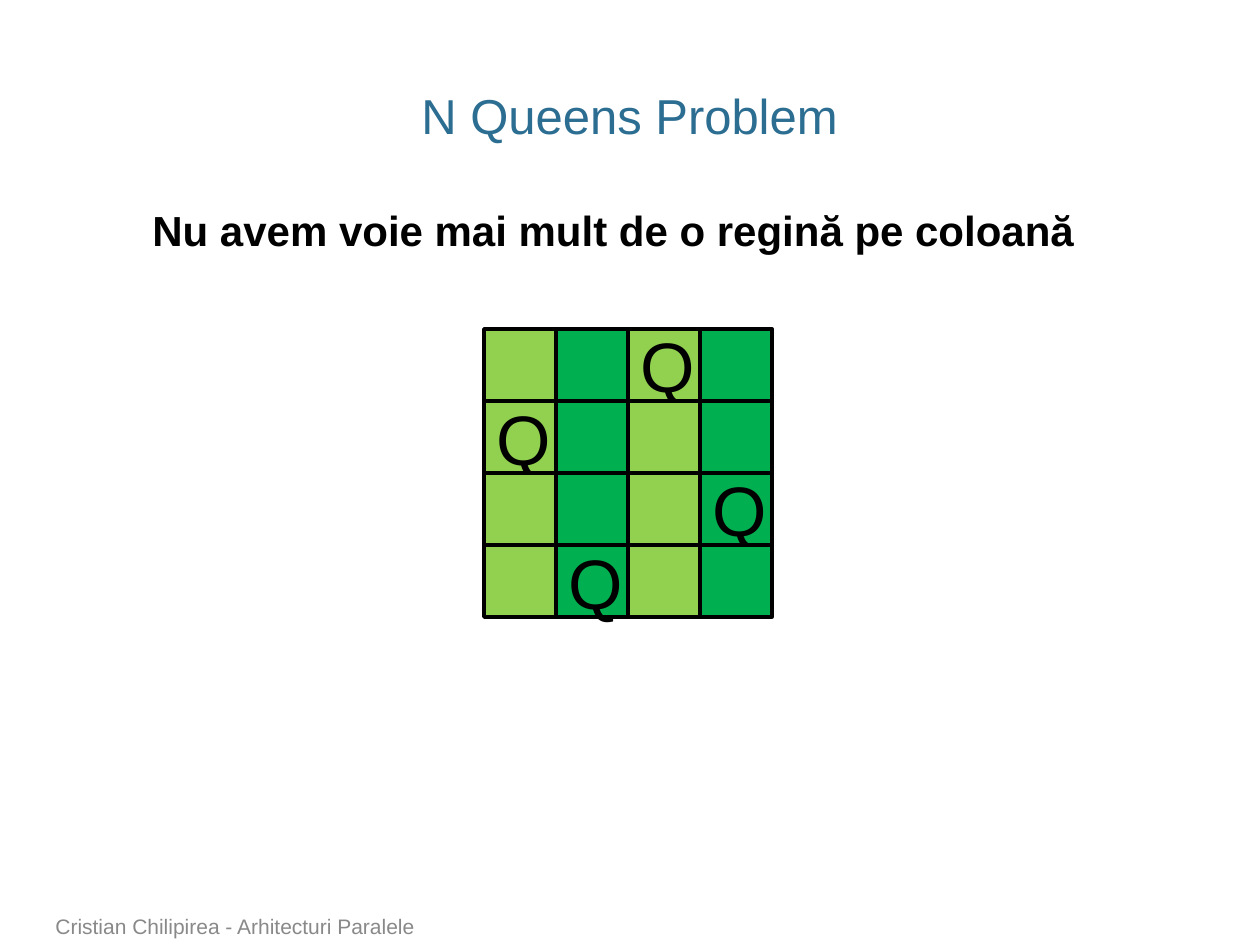
"""Build the N Queens slide: a 4 by 4 board with one queen per column."""
from pptx import Presentation
from pptx.dml.color import RGBColor
from pptx.enum.shapes import MSO_SHAPE as SHAPE
from pptx.enum.text import MSO_ANCHOR as ANCHOR, MSO_AUTO_SIZE as FIT, PP_ALIGN as ALIGN
from pptx.util import Emu, Pt

SCALE = 914400 / 126
COLORS = {"title": "2C6D92", "text": "000000", "footer": "898989",
          "light": "92D050", "dark": "00B050", "line": "000000"}
QUEEN_ROWS = [1, 3, 0, 2]
BOARD_LEFT, BOARD_TOP, CELL = 484, 329, 72


def px(n):
    return Emu(round(n * SCALE))


def rgb(name):
    return RGBColor.from_string(COLORS[name])


def assign(obj, values):
    for name, value in values.items():
        setattr(obj, name, value)


class SlideBuilder:
    def __init__(self, prs, font="Arial"):
        self.font = font
        self.s = prs.slides.add_slide(prs.slide_layouts[5])

    def fill_text(self, sp, text, size, color, frame, bold=False, **para):
        tf = sp.text_frame
        assign(tf, frame)
        p = tf.paragraphs[0]
        assign(p, para)
        r = p.add_run()
        r.text = text
        assign(r.font, {"name": self.font, "size": Pt(size), "bold": bold})
        r.font.color.rgb = rgb(color)

    def title(self, text, *box):
        sp = self.s.shapes.title
        assign(sp, dict(zip(("left", "top", "width", "height"), map(px, box))))
        frame = {"margin_left": 0, "margin_right": 0, "word_wrap": True,
                 "auto_size": FIT.NONE, "vertical_anchor": ANCHOR.MIDDLE}
        self.fill_text(sp, text, 28, "title", frame, alignment=ALIGN.CENTER, line_spacing=0.95)

    def text(self, text, box, size, color, frame, bold=False):
        sp = self.s.shapes.add_textbox(*map(px, box))
        self.fill_text(sp, text, size, color, frame, bold)

    def square(self, left, top, side, fill, text=""):
        sp = self.s.shapes.add_shape(SHAPE.RECTANGLE, *map(px, (left, top, side, side)))
        sp.shadow.inherit = False
        sp.fill.solid()
        sp.fill.fore_color.rgb = rgb(fill)
        sp.line.color.rgb = rgb("line")
        sp.line.width = Pt(2)
        if text:
            self.fill_text(sp, text, 40, "text", {"vertical_anchor": ANCHOR.MIDDLE},
                           alignment=ALIGN.CENTER)


def main():
    prs = Presentation()
    assign(prs, {"slide_width": px(1260), "slide_height": px(945)})
    b = SlideBuilder(prs)
    b.title("N Queens Problem", 43, 86, 1173, 63)
    for row in range(4):
        for col, queen_row in enumerate(QUEEN_ROWS):
            b.square(BOARD_LEFT + col * CELL, BOARD_TOP + row * CELL, CELL,
                     "dark" if col % 2 else "light", "Q" if row == queen_row else "")
    b.text("Nu avem voie mai mult de o regină pe coloană", (140, 198, 955, 63), 24, "text",
           {"word_wrap": False, "auto_size": FIT.SHAPE_TO_FIT_TEXT}, bold=True)
    b.text("Cristian Chilipirea - Arhitecturi Paralele", (43, 910, 929, 35), 12, "footer",
           {"word_wrap": True, "vertical_anchor": ANCHOR.BOTTOM})
    prs.save("out.pptx")


if __name__ == "__main__":
    main()
